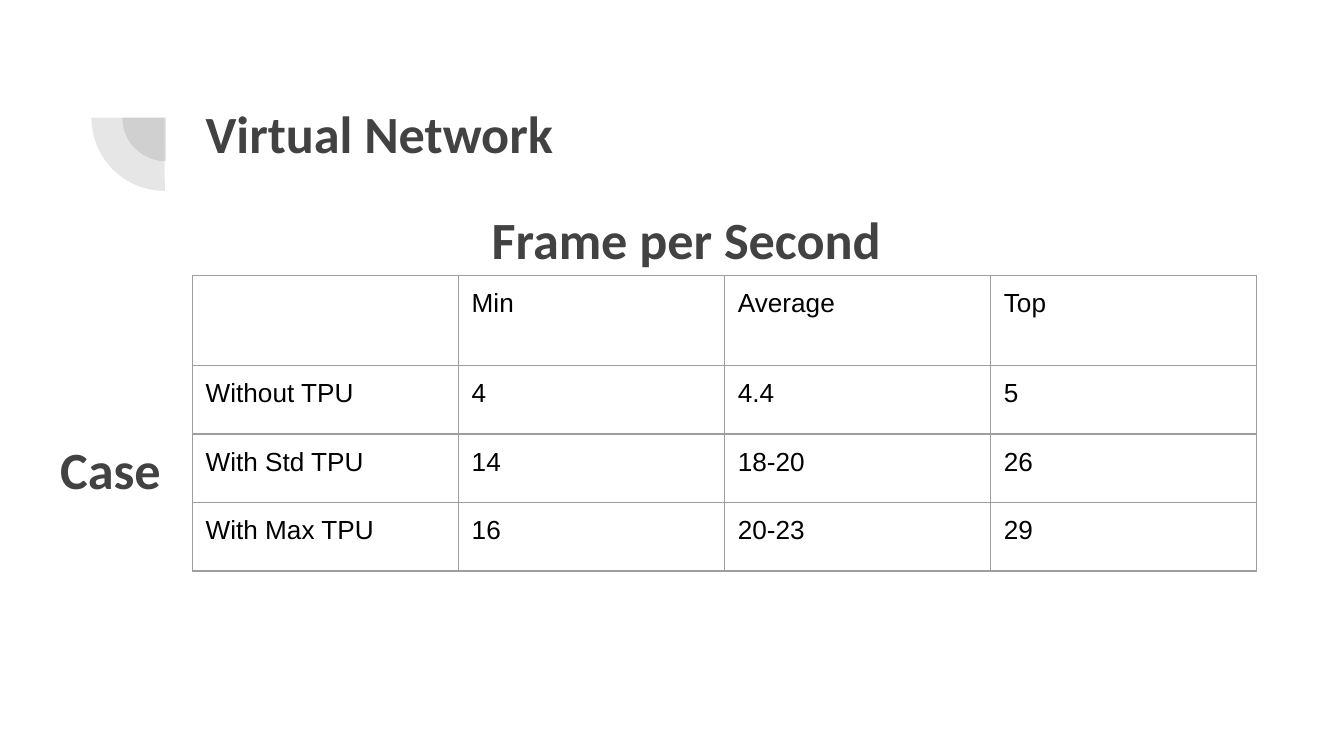
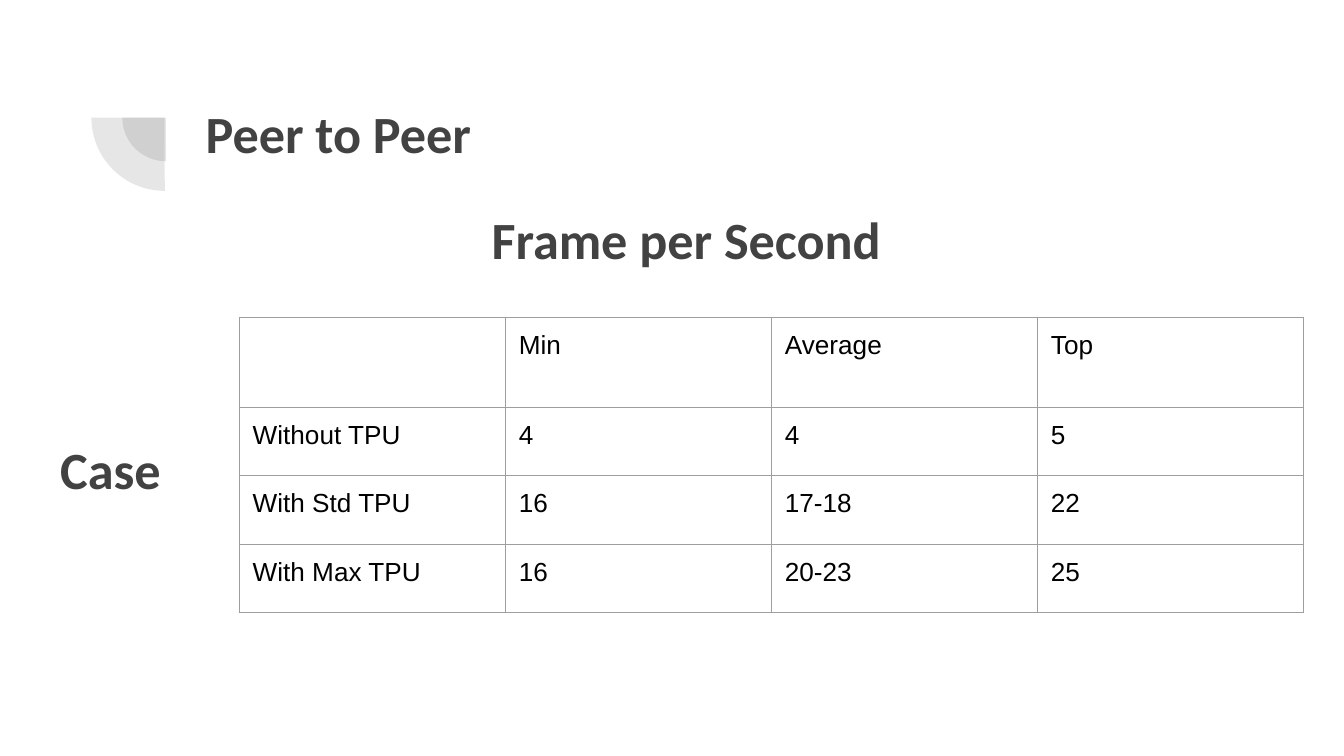
"""Builds two slides that compare frame rates per network type."""
from pptx import Presentation
from pptx.dml.color import RGBColor as RGB
from pptx.enum.shapes import MSO_SHAPE as SHAPE
from pptx.enum.text import MSO_ANCHOR as ANCHOR, MSO_AUTO_SIZE as FIT, PP_ALIGN as ALIGN
from pptx.oxml.ns import qn
from pptx.util import Inches, Pt
from lxml.etree import SubElement as Sub

COLORS = {"ink": "424242", "text": "000000", "grid": "9E9E9E", "back": "FFFFFF"}
HEAD = ["", "Min", "Average", "Top"]
CASES = ["Without TPU", "With Std TPU", "With Max TPU"]
PIES = [(0.91, 0.55, 0.65), (0.68, 0.33, 1.09)]
SLIDES = [
    ("Virtual Network", 1.43, 2.05,
     [["4", "4.4", "5"], ["14", "18-20", "26"], ["16", "20-23", "29"]]),
    ("Peer to Peer", 1.78, 2.36,
     [["4", "4", "5"], ["16", "17-18", "22"], ["16", "20-23", "25"]]),
]


class Deck:
    def __init__(self):
        self.prs = Presentation()
        self.prs.slide_width = Inches(10)
        self.prs.slide_height = Inches(10) * 9 // 16
        self.slide = None

    def start(self, title):
        self.slide = self.prs.slides.add_slide(self.prs.slide_layouts[5])
        fill = self.slide.background.fill
        fill.solid()
        fill.fore_color.rgb = RGB.from_string(COLORS["back"])
        for x, y, size in PIES:
            self.pie(x, y, size)
        self.head(self.slide.shapes.title, title, 1.43, 0.65, 7.69, 1.09)

    def pie(self, x, y, size):
        pie = self.slide.shapes.add_shape(
            SHAPE.PIE, Inches(x), Inches(y), Inches(size), Inches(size))
        pie.adjustments[0], pie.adjustments[1] = 107.928, 162
        pie.rotation = 270
        pie.shadow.inherit = False
        pie.line.fill.background()
        pie.fill.solid()
        pie.fill.fore_color.rgb = RGB.from_string(COLORS["ink"])
        color = pie._element.spPr.find(qn("a:solidFill"))[0]
        Sub(color, qn("a:alpha"), val="13000")

    def label(self, text, *place):
        self.head(self.slide.shapes.add_textbox(0, 0, 0, 0), text, *place)

    def head(self, shape, text, x, y, w, h):
        shape.left, shape.top = Inches(x), Inches(y)
        shape.width, shape.height = Inches(w), Inches(h)
        frame = shape.text_frame
        frame.word_wrap = True
        frame.auto_size = FIT.NONE
        frame.vertical_anchor = ANCHOR.TOP
        self.inset(frame)
        para = frame.paragraphs[0]
        para.alignment = ALIGN.LEFT
        self.run(para, text, "Calibri", 28, "ink", True)

    def inset(self, box):
        box.margin_left = box.margin_right = Inches(0.1)
        box.margin_top = box.margin_bottom = Inches(0.1)

    def run(self, para, text, face, size, color, bold=False):
        run = para.add_run()
        run.text = text
        run.font.name, run.font.size, run.font.bold = face, Pt(size), bold
        run.font.color.rgb = RGB.from_string(COLORS[color])

    def table(self, x, y, rows):
        table = self.slide.shapes.add_table(
            len(rows), len(rows[0]), Inches(x), Inches(y), Inches(7.92), Inches(2.2)).table
        table.first_row = table.horz_banding = False
        for col in table.columns:
            col.width = Inches(1.98)
        for i, row in enumerate(rows):
            table.rows[i].height = Inches(0.51 if i else 0.67)
            for j, text in enumerate(row):
                self.cell(table.cell(i, j), text)

    def cell(self, cell, text):
        self.inset(cell)
        props = cell._tc.get_or_add_tcPr()
        for side in "LRTB":
            line = Sub(props, qn(f"a:ln{side}"), w=str(Pt(0.75)))
            fill = Sub(line, qn("a:solidFill"))
            Sub(fill, qn("a:srgbClr"), val=COLORS["grid"])
        cell.fill.background()
        para = cell.text_frame.paragraphs[0]
        if text:
            self.run(para, text, "Arial", 14, "text")
        else:
            para.font.size = Pt(14)


def main():
    deck = Deck()
    for title, x, y, rates in SLIDES:
        deck.start(title)
        deck.label("Frame per Second", 3.56, 1.44, 5.38, 0.61)
        deck.table(x, y, [HEAD] + [[case] + row for case, row in zip(CASES, rates)])
        deck.label("Case", 0.35, 3.15, 2.27, 0.61)
    deck.prs.save("out.pptx")


if __name__ == "__main__":
    main()
